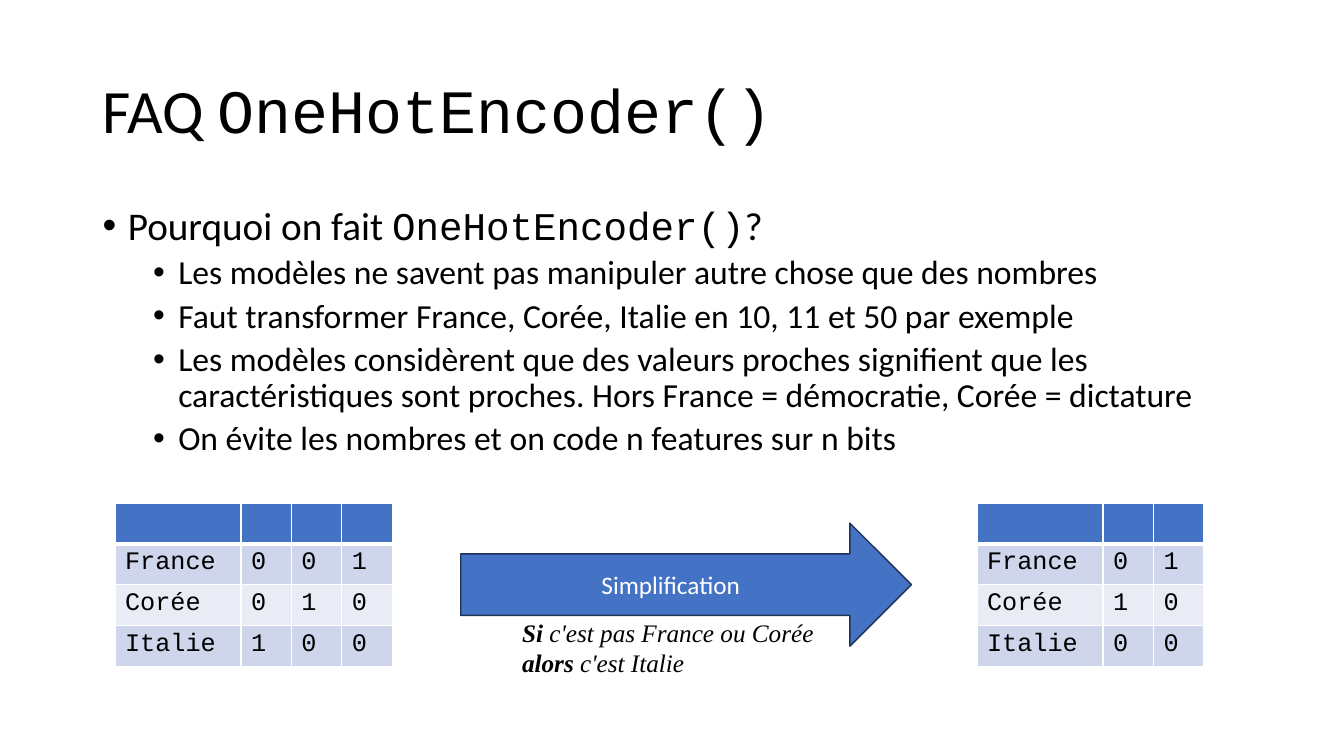
"""Build the slide on why OneHotEncoder() is used and how its columns simplify."""
from lxml import etree
from pptx import Presentation
from pptx.dml.color import RGBColor
from pptx.enum.shapes import MSO_SHAPE
from pptx.enum.text import MSO_ANCHOR, PP_ALIGN
from pptx.oxml.ns import qn
from pptx.util import Inches, Pt

RIGHT_ARROW = MSO_SHAPE.RIGHT_ARROW
MIDDLE, TOP = MSO_ANCHOR.MIDDLE, MSO_ANCHOR.TOP
CENTER, LEFT = PP_ALIGN.CENTER, PP_ALIGN.LEFT
BLACK = RGBColor(0x00, 0x00, 0x00)
WHITE = RGBColor(0xFF, 0xFF, 0xFF)
BLUE = RGBColor(0x44, 0x72, 0xC4)
NAVY = RGBColor(0x1E, 0x32, 0x56)
DARK_BAND = RGBColor(0xCF, 0xD5, 0xEA)
LIGHT_BAND = RGBColor(0xE9, 0xEB, 0xF5)
SANS, MONO, SERIF = "Calibri", "Courier New", "Times New Roman"


def write(paragraph, text, *, size=18, font=SANS, color=BLACK, bold=False, italic=False):
    run = paragraph.add_run()
    run.text = text
    run.font.size = Pt(size)
    run.font.name = font
    run.font.color.rgb = color
    run.font.bold = bold
    run.font.italic = italic


class SlideBuilder:
    def __init__(self, slide):
        self.slide = slide

    def text_box(self, left, top, width, height, anchor=TOP, wrap=True):
        box = self.slide.shapes.add_textbox(
            Inches(left), Inches(top), Inches(width), Inches(height))
        frame = box.text_frame
        frame.word_wrap = wrap
        frame.vertical_anchor = anchor
        return frame

    def bullet(self, paragraph, level):
        paragraph.level = level
        paragraph.line_spacing = 0.9
        paragraph.space_before = Pt(5 if level else 10)
        properties = paragraph._p.get_or_add_pPr()
        properties.set("marL", str(Inches(0.25 + 0.5 * level)))
        properties.set("indent", str(Inches(-0.25)))
        etree.SubElement(properties, qn("a:buFont")).set("typeface", "Arial")
        etree.SubElement(properties, qn("a:buChar")).set("char", "•")

    def arrow(self, left, top, width, height, label):
        shape = self.slide.shapes.add_shape(
            RIGHT_ARROW, Inches(left), Inches(top), Inches(width), Inches(height))
        shape.shadow.inherit = False
        shape.fill.solid()
        shape.fill.fore_color.rgb = BLUE
        shape.line.color.rgb = NAVY
        shape.line.width = Pt(1)
        shape.text_frame.vertical_anchor = MIDDLE
        paragraph = shape.text_frame.paragraphs[0]
        paragraph.alignment = CENTER
        write(paragraph, label, color=WHITE)

    def border(self, cell, is_header):
        properties = cell._tc.get_or_add_tcPr()
        for index, side in enumerate(("lnL", "lnR", "lnT", "lnB")):
            line = etree.Element(qn(f"a:{side}"))
            line.set("w", str(Pt(3 if is_header and side == "lnB" else 1)))
            fill = etree.SubElement(line, qn("a:solidFill"))
            etree.SubElement(fill, qn("a:srgbClr")).set("val", str(WHITE))
            properties.insert(index, line)

    def code_table(self, left, top, codes):
        digits = len(next(iter(codes.values())))
        widths = [1.25] + [0.5] * digits
        rows = [[""] * len(widths)] + [[name, *code] for name, code in codes.items()]
        table = self.slide.shapes.add_table(
            len(rows), len(widths), Inches(left), Inches(top),
            Inches(sum(widths)), Inches(0.405 * len(rows))).table
        for column, width in zip(table.columns, widths):
            column.width = Inches(width)
        for row_index, row in enumerate(rows):
            band = DARK_BAND if row_index % 2 else LIGHT_BAND
            for column_index, text in enumerate(row):
                cell = table.cell(row_index, column_index)
                cell.fill.solid()
                cell.fill.fore_color.rgb = band if row_index else BLUE
                self.border(cell, row_index == 0)
                if text:
                    write(cell.text_frame.paragraphs[0], text, font=MONO)


def main():
    presentation = Presentation()
    presentation.slide_width = Inches(13.33)
    presentation.slide_height = Inches(7.5)
    builder = SlideBuilder(presentation.slides.add_slide(presentation.slide_layouts[6]))

    title = builder.text_box(0.92, 0.4, 11.5, 1.45, anchor=MIDDLE).paragraphs[0]
    title.line_spacing = 0.9
    write(title, "FAQ ", size=44)
    write(title, "OneHotEncoder()", size=44, font=MONO)

    body = builder.text_box(0.92, 2, 11.5, 4.76)
    question = body.paragraphs[0]
    builder.bullet(question, 0)
    write(question, "Pourquoi on fait ", size=28)
    write(question, "OneHotEncoder()", size=28, font=MONO)
    write(question, "?", size=28)
    for answer in (
        "Les modèles ne savent pas manipuler autre chose que des nombres",
        "Faut transformer France, Corée, Italie en 10, 11 et 50 par exemple",
        "Les modèles considèrent que des valeurs proches signifient que les "
        "caractéristiques sont proches. Hors France = démocratie, Corée = dictature",
        "On évite les nombres et on code n features sur n bits",
    ):
        paragraph = body.add_paragraph()
        builder.bullet(paragraph, 1)
        write(paragraph, answer, size=24)

    builder.code_table(1.14, 4.99, {"France": "001", "Corée": "010", "Italie": "100"})
    builder.code_table(9.69, 4.99, {"France": "01", "Corée": "10", "Italie": "00"})
    builder.arrow(4.57, 5.19, 4.47, 1.22, "Simplification")

    rule = builder.text_box(5.08, 6.07, 3.17, 0.71, wrap=False)
    condition, conclusion = rule.paragraphs[0], rule.add_paragraph()
    for paragraph, keyword, clause in (
        (condition, "Si", " c'est pas France ou Corée"),
        (conclusion, "alors", " c'est Italie"),
    ):
        paragraph.alignment = LEFT
        write(paragraph, keyword, font=SERIF, bold=True, italic=True)
        write(paragraph, clause, font=SERIF, italic=True)

    presentation.save("out.pptx")


if __name__ == "__main__":
    main()
